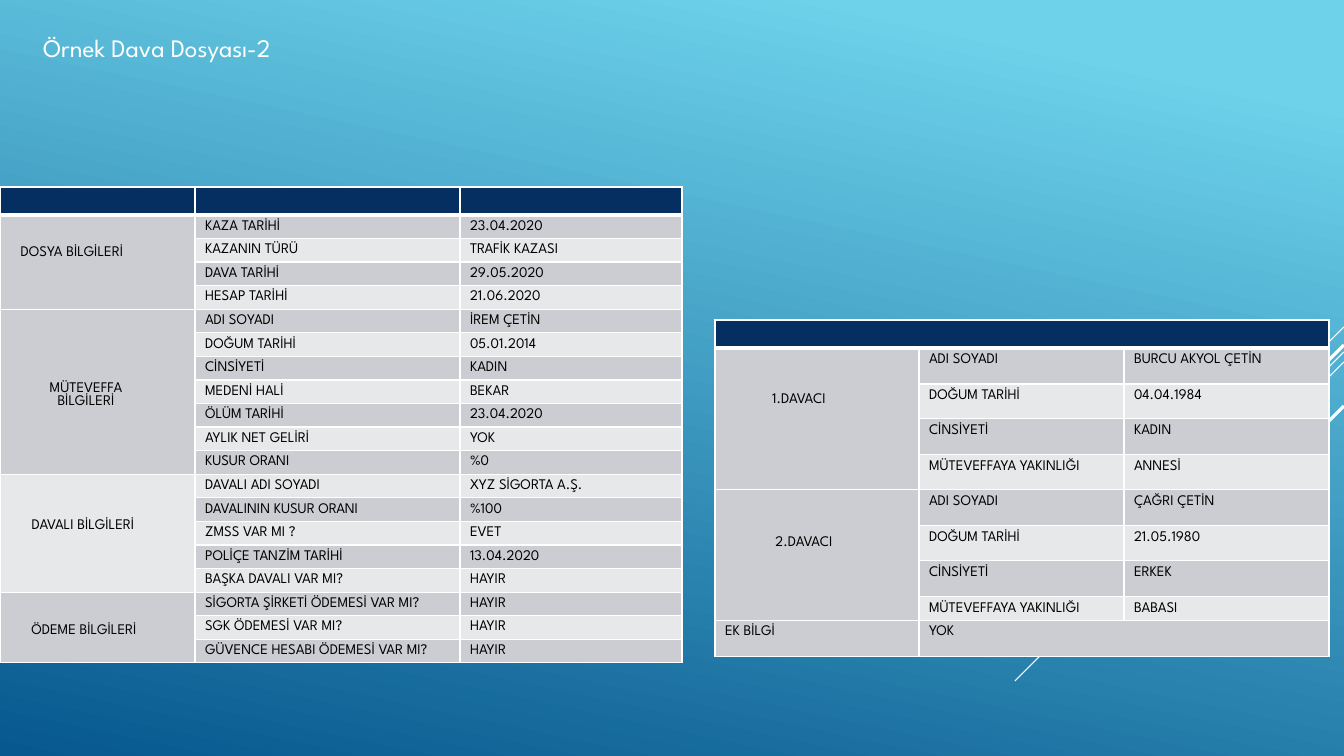
from lxml import etree
from pptx import Presentation
from pptx.dml.color import RGBColor
from pptx.enum.shapes import MSO_CONNECTOR
from pptx.enum.text import MSO_ANCHOR, MSO_AUTO_SIZE, PP_ALIGN
from pptx.oxml.ns import qn
from pptx.util import Pt

STRAIGHT = MSO_CONNECTOR.STRAIGHT
TOP = MSO_ANCHOR.TOP
NO_AUTOFIT = MSO_AUTO_SIZE.NONE
LEFT, CENTER = PP_ALIGN.LEFT, PP_ALIGN.CENTER

WHITE = RGBColor(0xFF, 0xFF, 0xFF)
BLACK = RGBColor(0x00, 0x00, 0x00)
NAVY = RGBColor(0x05, 0x2F, 0x61)
DARK_BAND = RGBColor(0xCC, 0xCD, 0xD2)
LIGHT_BAND = RGBColor(0xE7, 0xE8, 0xEA)
SKY = RGBColor(0x6E, 0xD2, 0xEB)
DEEP_BLUE = RGBColor(0x06, 0x58, 0x8E)

FONT = "League Spartan"
SLIDE_WIDTH, SLIDE_HEIGHT = 1344, 756
EMU_PER_PX = 914400 / 100.8

TITLE = "Örnek Dava Dosyası-2"
TITLE_BOX = (33, 27, 1139, 72)
TITLE_FORMAT = {"name": FONT, "size": Pt(18), "bold": False, "color": WHITE}
CELL_FORMAT = {"name": FONT, "size": Pt(10.5), "bold": False, "color": BLACK}

# Each group: label lines, label centre from the left, label top, rows
CASE_GROUPS = [
    (["DOSYA BİLGİLERİ"], 72, 31, [
        ("KAZA TARİHİ", "23.04.2020"),
        ("KAZANIN TÜRÜ", "TRAFİK KAZASI"),
        ("DAVA TARİHİ", "29.05.2020"),
        ("HESAP TARİHİ", "21.06.2020"),
    ]),
    (["MÜTEVEFFA", "BİLGİLERİ"], 86, 73, [
        ("ADI SOYADI", "İREM ÇETİN"),
        ("DOĞUM TARİHİ", "05.01.2014"),
        ("CİNSİYETİ", "KADIN"),
        ("MEDENİ HALİ", "BEKAR"),
        ("ÖLÜM TARİHİ", "23.04.2020"),
        ("AYLIK NET GELİRİ", "YOK"),
        ("KUSUR ORANI", "%0"),
    ]),
    (["DAVALI BİLGİLERİ"], 83, 45, [
        ("DAVALI ADI SOYADI", "XYZ SİGORTA A.Ş."),
        ("DAVALININ KUSUR ORANI", "%100"),
        ("ZMSS VAR MI ?", "EVET"),
        ("POLİÇE TANZİM TARİHİ", "13.04.2020"),
        ("BAŞKA DAVALI VAR MI?", "HAYIR"),
    ]),
    (["ÖDEME BİLGİLERİ"], 84, 32, [
        ("SİGORTA ŞİRKETİ ÖDEMESİ VAR MI?", "HAYIR"),
        ("SGK ÖDEMESİ VAR MI?", "HAYIR"),
        ("GÜVENCE HESABI ÖDEMESİ VAR MI?", "HAYIR"),
    ]),
]
PLAINTIFF_GROUPS = [
    (["1.DAVACI"], 84, 45, [
        ("ADI SOYADI", "BURCU AKYOL ÇETİN"),
        ("DOĞUM TARİHİ", "04.04.1984"),
        ("CİNSİYETİ", "KADIN"),
        ("MÜTEVEFFAYA YAKINLIĞI", "ANNESİ"),
    ]),
    (["2.DAVACI"], 89, 46, [
        ("ADI SOYADI", "ÇAĞRI ÇETİN"),
        ("DOĞUM TARİHİ", "21.05.1980"),
        ("CİNSİYETİ", "ERKEK"),
        ("MÜTEVEFFAYA YAKINLIĞI", "BABASI"),
    ]),
]
EXTRA_ROW = ("EK BİLGİ", "YOK")

CASE_COLUMNS = [195, 265, 222]
CASE_ROWS = [23] * 20
PLAINTIFF_COLUMNS = [204, 205, 205]
PLAINTIFF_ROWS = [23, 36, 35, 36, 35, 36, 35, 36, 23, 36]

# Diagonals at 45 degrees from the right edge: top, run, weight in points
DIAGONALS = [(327, 101, 0.75), (352, 329, 0.75), (362, 209, 0.75),
             (345, 192, 2.25), (406, 140, 2.25)]


def px(length):
    return round(length * EMU_PER_PX)


def format_font(font, values):
    for name, value in values.items():
        if name == "color":
            font.color.rgb = value
        else:
            setattr(font, name, value)


def add_diagonal(slide, top, run, weight):
    connector = slide.shapes.add_connector(
        STRAIGHT, px(SLIDE_WIDTH), px(top), px(SLIDE_WIDTH - run), px(top + run))
    connector.line.color.rgb = WHITE
    connector.line.width = Pt(weight)
    etree.SubElement(connector._element.spPr, qn("a:effectLst"))


def set_borders(cell, bottom_weight):
    properties = cell._tc.get_or_add_tcPr()
    for side, weight in (("L", 1), ("R", 1), ("T", 1), ("B", bottom_weight)):
        line = etree.SubElement(properties, qn(f"a:ln{side}"), w=str(Pt(weight)))
        fill = etree.SubElement(line, qn("a:solidFill"))
        etree.SubElement(fill, qn("a:srgbClr"), val=str(WHITE))


def write_cell(cell, lines, alignment=LEFT):
    cell.text = "\n".join(lines)
    for paragraph in cell.text_frame.paragraphs:
        paragraph.alignment = alignment
        for run in paragraph.runs:
            format_font(run.font, CELL_FORMAT)


def add_banded_table(slide, left, top, columns, rows):
    """Add an empty table with a navy header row and alternating bands."""
    table = slide.shapes.add_table(
        len(rows), len(columns), px(left), px(top),
        px(sum(columns)), px(sum(rows))).table
    for column, width in zip(table.columns, columns):
        column.width = px(width)
    for index, (row, height) in enumerate(zip(table.rows, rows)):
        row.height = px(height)
        band = NAVY if index == 0 else (LIGHT_BAND, DARK_BAND)[index % 2]
        for cell in row.cells:
            set_borders(cell, 3 if index == 0 else 1)
            cell.fill.solid()
            cell.fill.fore_color.rgb = band
            end = cell.text_frame.paragraphs[0]._p.get_or_add_endParaRPr()
            end.set("sz", "1050")
    return table


def fill_groups(table, groups, label_width):
    first = 1
    for label, center, top, entries in groups:
        label_cell = table.cell(first, 0)
        label_cell.merge(table.cell(first + len(entries) - 1, 0))
        write_cell(label_cell, label, CENTER)
        label_cell.margin_left = 0
        label_cell.margin_right = px(label_width - 2 * center)
        label_cell.margin_top = px(top)
        for index, entry in enumerate(entries, first):
            for column, text in enumerate(entry, 1):
                write_cell(table.cell(index, column), [text])
        first += len(entries)


def main():
    presentation = Presentation()
    presentation.slide_width = px(SLIDE_WIDTH)
    presentation.slide_height = px(SLIDE_HEIGHT)
    slide = presentation.slides.add_slide(presentation.slide_layouts[5])

    background = slide.background.fill
    background.gradient()
    background.gradient_angle = 258
    for stop, position, color in zip(
            background.gradient_stops, (0.1, 1), (SKY, DEEP_BLUE)):
        stop.position = position
        stop.color.rgb = color

    for diagonal in DIAGONALS:
        add_diagonal(slide, *diagonal)

    case_table = add_banded_table(slide, 0, 187, CASE_COLUMNS, CASE_ROWS)
    fill_groups(case_table, CASE_GROUPS, CASE_COLUMNS[0])

    plaintiff_table = add_banded_table(
        slide, 715, 320, PLAINTIFF_COLUMNS, PLAINTIFF_ROWS)
    plaintiff_table.cell(0, 0).merge(plaintiff_table.cell(0, 2))
    fill_groups(plaintiff_table, PLAINTIFF_GROUPS, PLAINTIFF_COLUMNS[0])
    last = len(PLAINTIFF_ROWS) - 1
    plaintiff_table.cell(last, 1).merge(plaintiff_table.cell(last, 2))
    for column, text in enumerate(EXTRA_ROW):
        write_cell(plaintiff_table.cell(last, column), [text])

    title = slide.shapes.title
    title.left, title.top, title.width, title.height = map(px, TITLE_BOX)
    frame = title.text_frame
    frame.text = TITLE
    frame.word_wrap = True
    frame.auto_size = NO_AUTOFIT
    frame.vertical_anchor = TOP
    frame.paragraphs[0].alignment = LEFT
    format_font(frame.paragraphs[0].runs[0].font, TITLE_FORMAT)

    presentation.save("out.pptx")


if __name__ == "__main__":
    main()
